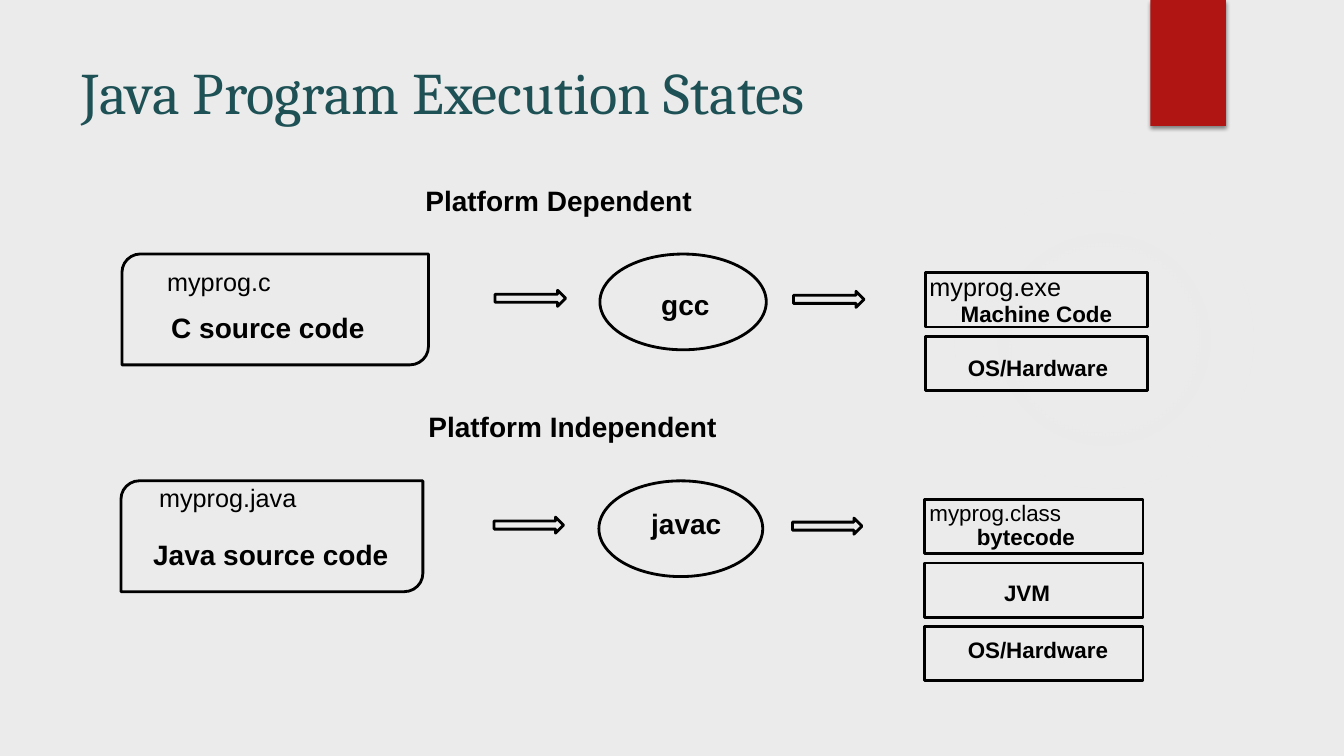
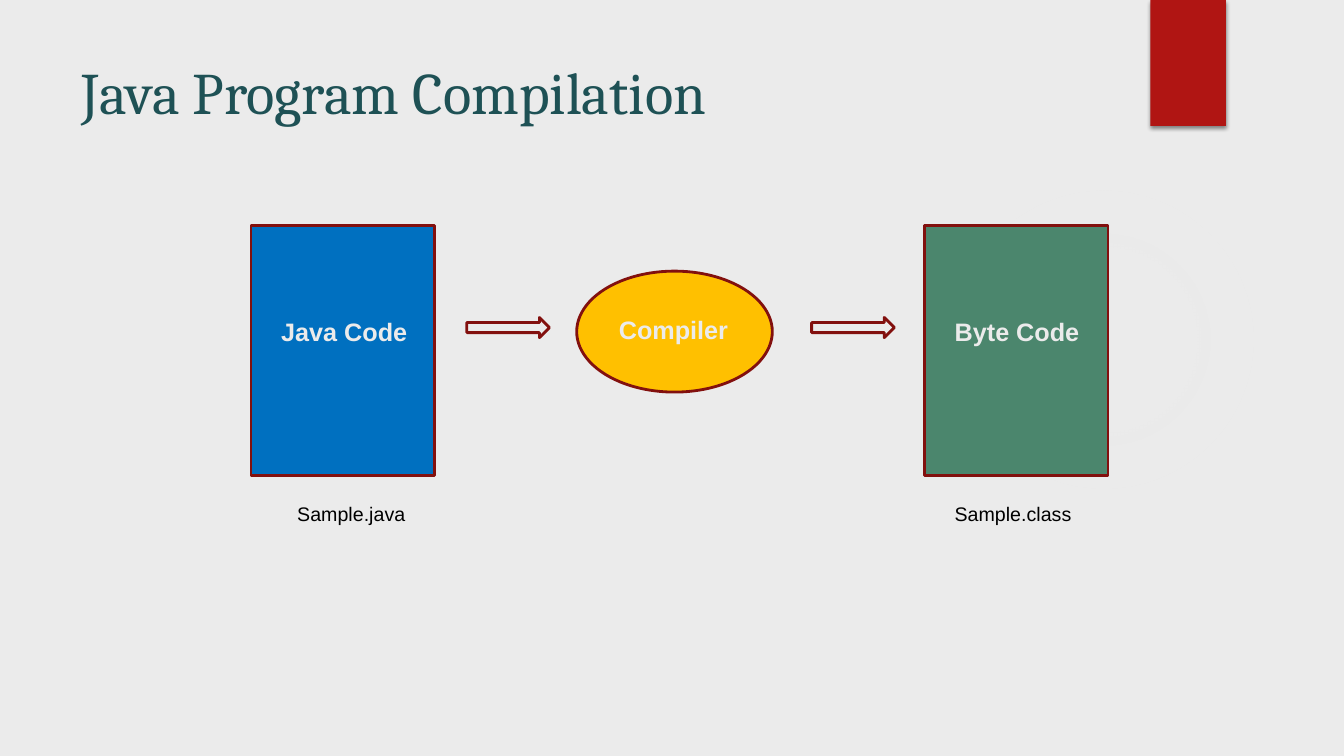
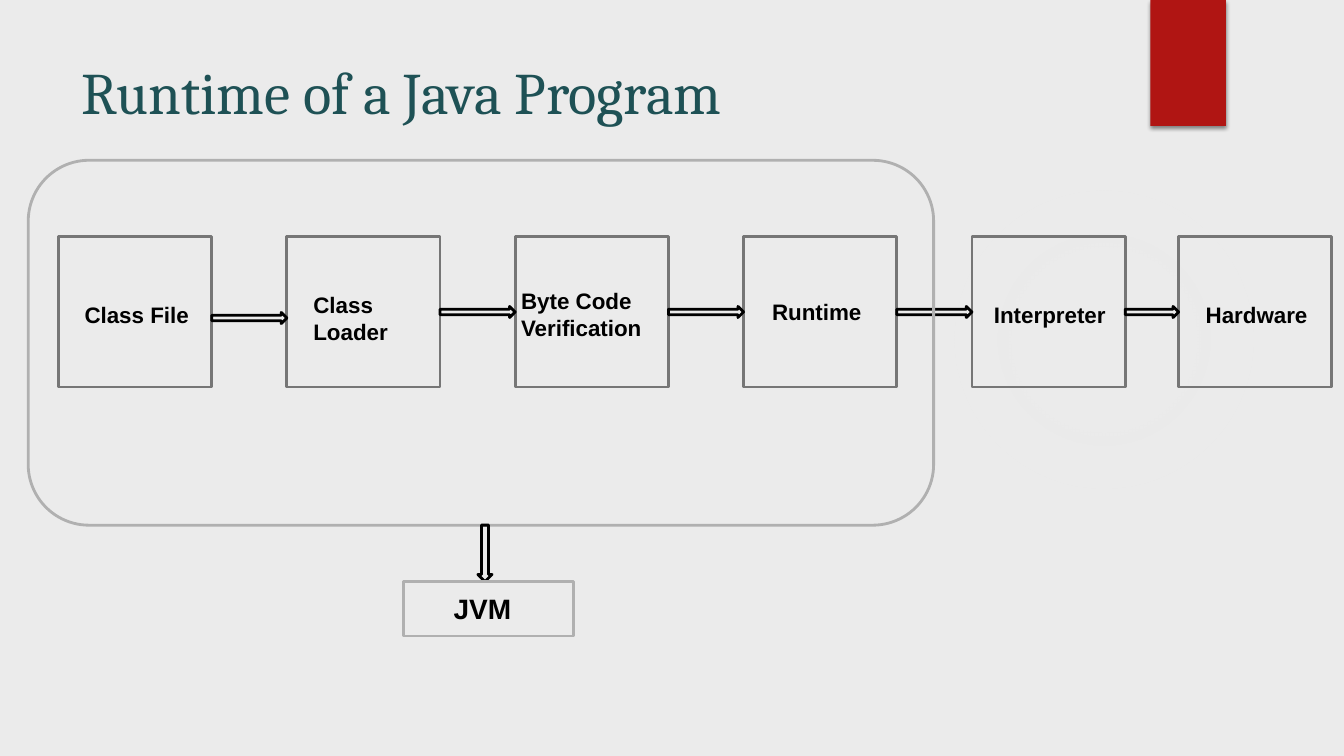
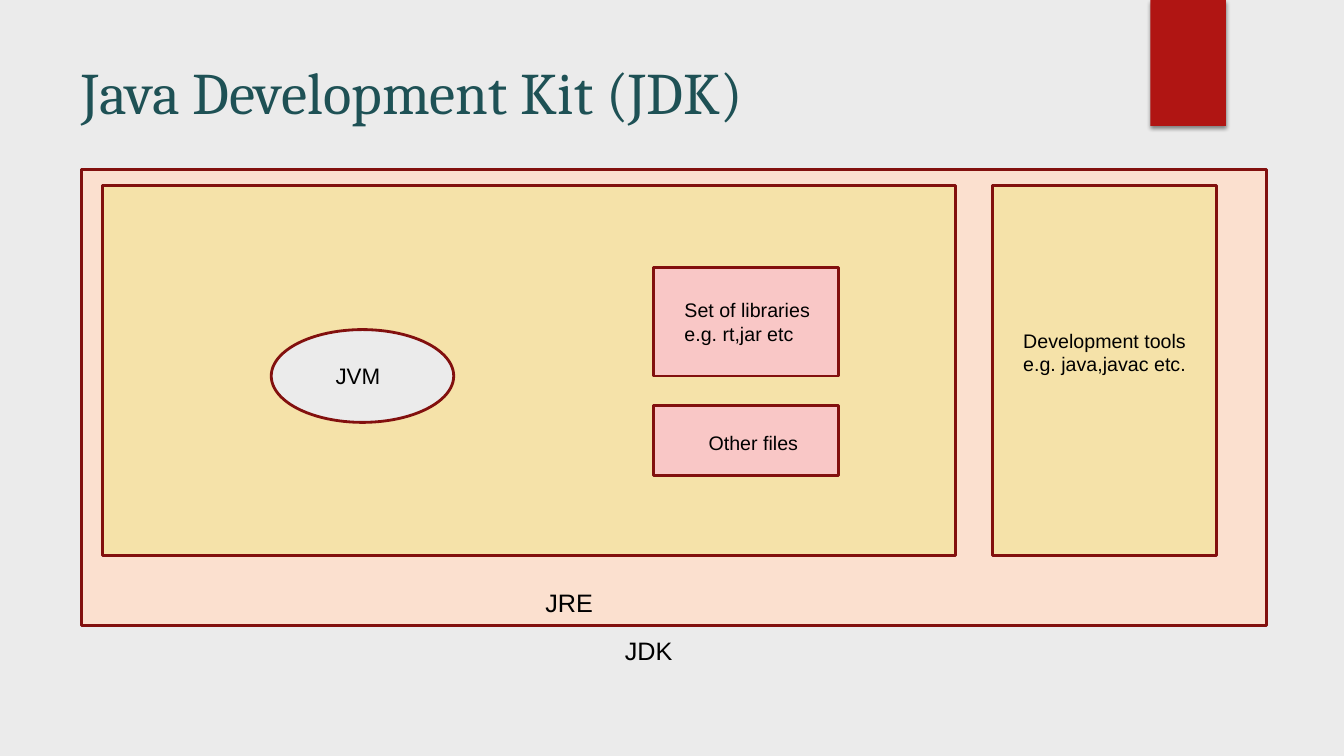
from lxml import etree
from pptx import Presentation
from pptx.dml.color import RGBColor
from pptx.enum.shapes import MSO_SHAPE
from pptx.util import Inches, Pt

RECTANGLE = MSO_SHAPE.RECTANGLE
ELLIPSE = MSO_SHAPE.OVAL
ROUNDED = MSO_SHAPE.ROUNDED_RECTANGLE
DIAGONAL = MSO_SHAPE.ROUND_2_DIAG_RECTANGLE
RIGHT_ARROW = MSO_SHAPE.RIGHT_ARROW
DOWN_ARROW = MSO_SHAPE.DOWN_ARROW

BLACK = RGBColor(0x00, 0x00, 0x00)
PAPER = RGBColor(0xEB, 0xEB, 0xEB)
TEAL = RGBColor(0x1E, 0x51, 0x55)
RED = RGBColor(0xB0, 0x15, 0x13)
MAROON = RGBColor(0x82, 0x10, 0x0E)
BLUE = RGBColor(0x00, 0x70, 0xC0)
GREEN = RGBColor(0x4B, 0x86, 0x6D)
AMBER = RGBColor(0xFF, 0xC0, 0x00)
DARK_GRAY = RGBColor(0x76, 0x76, 0x76)
LIGHT_GRAY = RGBColor(0xB0, 0xB0, 0xB0)
PEACH = RGBColor(0xFB, 0xE0, 0xCF)
SAND = RGBColor(0xF5, 0xE2, 0xA9)
PINK = RGBColor(0xF9, 0xC7, 0xC6)

DRAWING = "http://schemas.openxmlformats.org/drawingml/2006/main"
GLOW_STOPS = "".join(
    f'<a:gs pos="{position}000"><a:srgbClr val="F3F3F3">'
    f'<a:alpha val="{alpha}000"/></a:srgbClr></a:gs>'
    for position, alpha in [(0, 7), (36, 6), (69, 0), (100, 0)])
GLOW_FILL = (
    f'<a:gradFill xmlns:a="{DRAWING}" rotWithShape="1"><a:gsLst>{GLOW_STOPS}</a:gsLst>'
    '<a:path path="circle"><a:fillToRect l="50000" t="50000" r="50000" b="50000"/>'
    '</a:path></a:gradFill>')
BAND_SHADOW = (
    f'<a:effectLst xmlns:a="{DRAWING}"><a:outerShdw blurRad="{Pt(3)}" dist="{Pt(2)}" '
    'dir="5400000" rotWithShape="0"><a:srgbClr val="000000"><a:alpha val="45000"/>'
    '</a:srgbClr></a:outerShdw></a:effectLst>')


def add_figure(slide, kind, left, top, width, height, fill=None, line=None):
    shape = slide.shapes.add_shape(
        kind, Inches(left), Inches(top), Inches(width), Inches(height))
    shape.shadow.inherit = False
    if fill is None:
        shape.fill.background()
    else:
        shape.fill.solid()
        shape.fill.fore_color.rgb = fill
    if line is None:
        shape.line.fill.background()
    else:
        shape.line.color.rgb = line
        shape.line.width = Pt(2)
    return shape


def add_label(slide, text, left, top, width, size, bold=False, color=BLACK,
              font="Arial"):
    """Add a left-aligned text box, one paragraph for each line of text."""
    lines = text.split("\n")
    height = 0.1 + len(lines) * size / 60
    box = slide.shapes.add_textbox(
        Inches(left), Inches(top), Inches(width), Inches(height))
    frame = box.text_frame
    frame.word_wrap = True
    frame.text = text
    values = {"name": font, "size": Pt(size), "bold": bold}
    for paragraph in frame.paragraphs:
        for name, value in values.items():
            setattr(paragraph.font, name, value)
        paragraph.font.color.rgb = color


presentation = Presentation()
presentation.slide_width = Inches(13.33)
presentation.slide_height = Inches(7.5)
background = presentation.slide_master.background.fill
background.solid()
background.fore_color.rgb = PAPER

# Shared frame: glow, red band and title
slides = []
for title, has_glow in [("Java Program Execution States", True),
                        ("Java Program Compilation", True),
                        ("Runtime of a Java Program", True),
                        ("Java Development Kit (JDK)", False)]:
    slide = presentation.slides.add_slide(presentation.slide_layouts[6])
    if has_glow:
        glow = add_figure(slide, ELLIPSE, 9.41, 1.83, 3.08, 3.08)
        properties = glow._element.spPr
        properties.replace(properties.find(f"{{{DRAWING}}}noFill"),
                           etree.fromstring(GLOW_FILL))
    band = add_figure(slide, RECTANGLE, 11.41, 0, 0.75, 1.25, RED)
    properties = band._element.spPr
    properties.replace(properties.find(f"{{{DRAWING}}}effectLst"),
                       etree.fromstring(BAND_SHADOW))
    add_label(slide, title, 0.71, 0.5, 10.29, 42, color=TEAL, font="Cambria")
    slides.append(slide)
states, compilation, runtime, kit = slides

# Execution states: one flow per language, the second slightly narrower
for top, shift, scale, box_count in [(2.52, 0, 1, 2), (4.77, -0.01, 0.985, 3)]:
    flow = [(DIAGONAL, 1.21, 0, 3.04, 1.1),
            (RIGHT_ARROW, 4.91, 0.36, 0.7, 0.16),
            (ELLIPSE, 5.95, 0, 1.65, 0.95),
            (RIGHT_ARROW, 7.87, 0.37, 0.7, 0.16)]
    flow += [(RECTANGLE, 9.18, 0.185 + 0.63 * i, 2.2, 0.54) for i in range(box_count)]
    for kind, left, offset, width, height in flow:
        add_figure(states, kind, left + shift, top + offset, width * scale, height,
                   line=BLACK)

for text, left, top, size, bold in [
        ("Platform Dependent", 4.12, 1.77, 20, True),
        ("myprog.c", 1.56, 2.59, 18, False),
        ("C source code", 1.6, 3.03, 20, True),
        ("gcc", 6.46, 2.8, 20, True),
        ("myprog.exe", 9.12, 2.64, 18, False),
        ("Machine Code", 9.43, 2.93, 16, True),
        ("OS/Hardware", 9.5, 3.46, 16, True),
        ("Platform Independent", 4.15, 4.01, 20, True),
        ("myprog.java", 1.48, 4.74, 18, False),
        ("Java source code", 1.42, 5.28, 20, True),
        ("javac", 6.36, 4.98, 20, True),
        ("myprog.class", 9.12, 4.9, 16, False),
        ("bytecode", 9.59, 5.14, 16, True),
        ("JVM", 9.86, 5.7, 16, True),
        ("OS/Hardware", 9.5, 6.26, 16, True)]:
    add_label(states, text, left, top, 3.45, size, bold)

# Compilation: code in, compiler, byte code out
for kind, left, top, width, height, fill in [
        (RECTANGLE, 2.49, 2.24, 1.82, 2.48, BLUE),
        (RECTANGLE, 9.17, 2.24, 1.82, 2.48, GREEN),
        (ELLIPSE, 5.72, 2.69, 1.94, 1.2, AMBER),
        (RIGHT_ARROW, 4.63, 3.15, 0.82, 0.2, None),
        (RIGHT_ARROW, 8.05, 3.15, 0.82, 0.2, None)]:
    add_figure(compilation, kind, left, top, width, height, fill, MAROON)
for text, left, top in [("Java Code", 2.69, 3.09), ("Compiler", 6.04, 3.07),
                        ("Byte Code", 9.37, 3.09)]:
    add_label(compilation, text, left, top, 1.62, 18, True, PAPER)
for text, left in [("Sample.java", 2.85), ("Sample.class", 9.37)]:
    add_label(compilation, text, left, 4.93, 2.2, 14)

# Runtime: a chain of stages, the first four inside the JVM
STAGE_WIDTH = 1.52
stage_lefts = [0.58 + 2.265 * i for i in range(5)] + [11.69]
for left in stage_lefts:
    add_figure(runtime, RECTANGLE, left, 2.35, STAGE_WIDTH, 1.49, line=DARK_GRAY)
for i, (left, following) in enumerate(zip(stage_lefts, stage_lefts[1:])):
    start = left + STAGE_WIDTH
    add_figure(runtime, RIGHT_ARROW, start, 3.1 if i == 0 else 3.04,
               following - start, 0.11, line=BLACK)
add_figure(runtime, ROUNDED, 0.28, 1.59, 8.98, 3.62, line=LIGHT_GRAY)
add_figure(runtime, DOWN_ARROW, 4.74, 5.21, 0.14, 0.56, line=BLACK)
add_figure(runtime, RECTANGLE, 4, 5.77, 1.69, 0.54, line=LIGHT_GRAY)
for text, left, top, width, size in [
        ("Class File", 0.74, 2.94, 1.36, 16),
        ("Class Loader", 3.01, 2.84, 1.36, 16),
        ("Byte Code Verification", 5.07, 2.8, 1.56, 16),
        ("Runtime", 7.56, 2.91, 1.36, 16),
        ("Interpreter", 9.76, 2.94, 1.36, 16),
        ("Hardware", 11.86, 2.94, 1.36, 16),
        ("JVM", 4.4, 5.82, 1.36, 20)]:
    add_label(runtime, text, left, top, width, size, True)

# Development kit: nested boxes
for kind, left, top, width, height, fill in [
        (RECTANGLE, 0.81, 1.68, 11.75, 4.53, PEACH),
        (RECTANGLE, 1.02, 1.84, 8.46, 3.67, SAND),
        (RECTANGLE, 9.84, 1.84, 2.23, 3.67, SAND),
        (RECTANGLE, 6.48, 2.65, 1.84, 1.08, PINK),
        (RECTANGLE, 6.48, 4.02, 1.84, 0.7, PINK),
        (ELLIPSE, 2.69, 3.27, 1.81, 0.92, PAPER)]:
    add_figure(kit, kind, left, top, width, height, fill, MAROON)
for text, left, top, width, size in [
        ("Set of libraries\ne.g. rt,jar etc", 6.69, 2.91, 1.56, 14),
        ("Other files", 6.93, 4.23, 1.37, 14),
        ("JVM", 3.23, 3.54, 1.37, 16),
        ("Development tools\ne.g. java,javac etc.", 10.05, 3.21, 1.98, 14),
        ("JRE", 5.31, 5.78, 1.37, 18),
        ("JDK", 6.1, 6.25, 1.37, 18)]:
    add_label(kit, text, left, top, width, size)

presentation.save("out.pptx")
